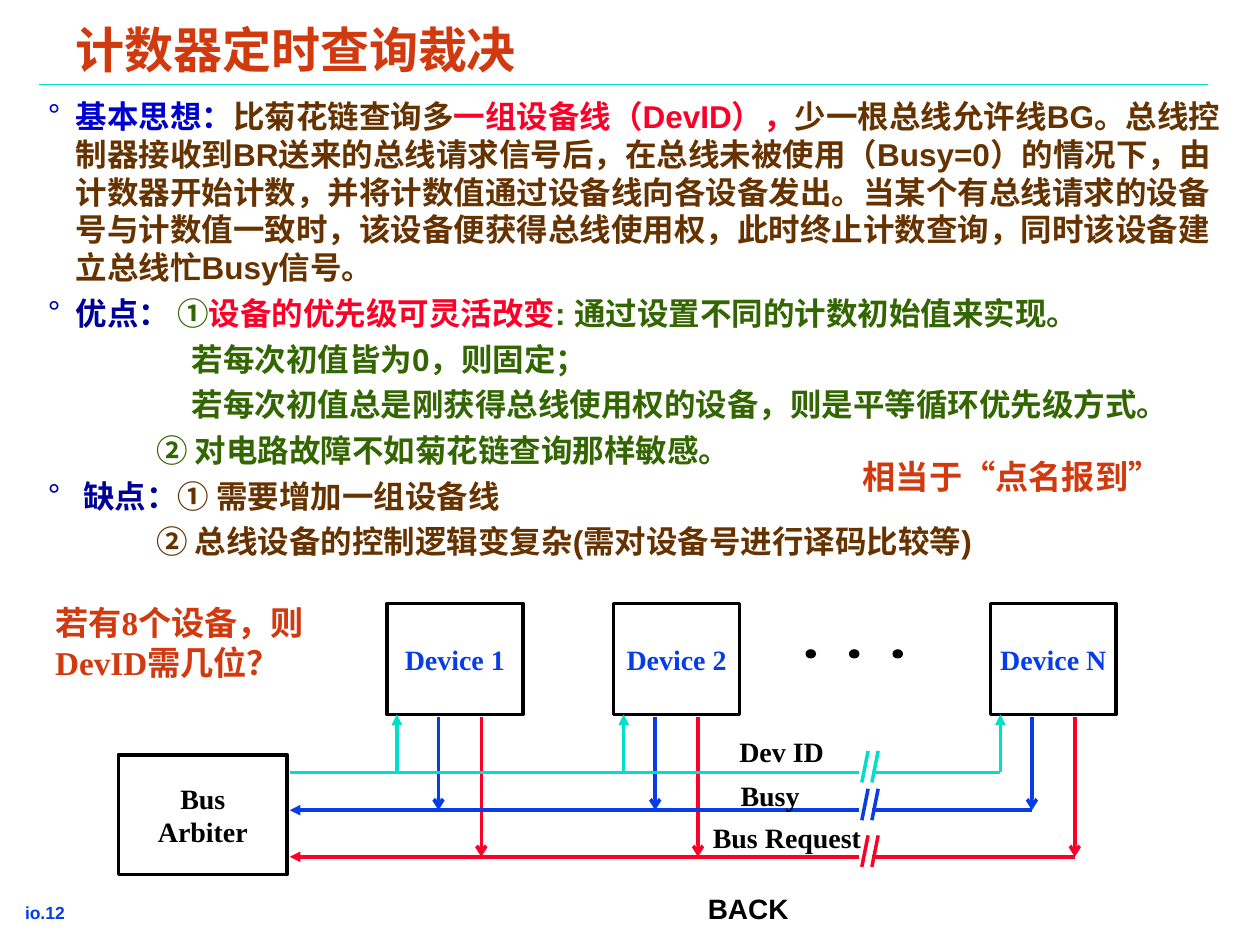
from lxml import etree
from pptx import Presentation
from pptx.dml.color import RGBColor
from pptx.enum.shapes import MSO_CONNECTOR, MSO_SHAPE
from pptx.enum.text import MSO_ANCHOR, MSO_AUTO_SIZE, PP_ALIGN
from pptx.oxml.ns import qn
from pptx.util import Inches, Pt

SANS, SERIF, CJK = "Arial", "Times New Roman", "Noto Sans CJK SC"
BLACK, BLUE, CYAN, RED = "000000", "063DE8", "00DFCA", "FC0128"
ORANGE, BROWN, GREEN = "D1390F", "663300", "336600"
BRIGHT_NAVY, NAVY = "0000CC", "000099"


def rgb(hex_code):
    return RGBColor.from_string(hex_code)


def style_run(run, size, color, font):
    run.font.size = Pt(size)
    run.font.bold = True
    run.font.name = font
    run.font.color.rgb = rgb(color)


def set_frame(frame, inset_x, inset_y, wrap=True, anchor=MSO_ANCHOR.TOP):
    frame.auto_size = MSO_AUTO_SIZE.NONE
    frame.word_wrap = wrap
    frame.vertical_anchor = anchor
    frame.margin_left = frame.margin_right = Inches(inset_x)
    frame.margin_top = frame.margin_bottom = Inches(inset_y)


def place(shape, left, top, width, height):
    shape.left, shape.top = Inches(left), Inches(top)
    shape.width, shape.height = Inches(width), Inches(height)


def add_label(slide, box, parts, size, color, font, wrap=True):
    """Text box; parts is a list of (text, font or None) runs."""
    label = slide.shapes.add_textbox(*map(Inches, box))
    set_frame(label.text_frame, 0.1, 0.05, wrap)
    for text, own_font in parts:
        run = label.text_frame.paragraphs[0].add_run()
        run.text = text
        style_run(run, size, color, own_font or font)


def add_line(slide, start, end, color, width=2, head=None, tail=None):
    line = slide.shapes.add_connector(
        MSO_CONNECTOR.STRAIGHT, *map(Inches, (*start, *end)))
    line.line.color.rgb = rgb(color)
    line.line.width = Pt(width)
    outline = line.line._get_or_add_ln()
    for tag, arrow in (("a:headEnd", head), ("a:tailEnd", tail)):
        if arrow:
            etree.SubElement(outline, qn(tag), type=arrow)
    etree.SubElement(line._element.spPr, qn("a:effectLst"))


def add_block(slide, box, text, color):
    """Outlined rectangle with a centred caption."""
    block = slide.shapes.add_shape(MSO_SHAPE.RECTANGLE, *map(Inches, box))
    block.shadow.inherit = False
    block.fill.background()
    block.line.color.rgb = rgb(BLACK)
    block.line.width = Pt(2)
    set_frame(block.text_frame, 0.05, 0.05, anchor=MSO_ANCHOR.MIDDLE)
    block.text_frame.text = text
    for paragraph in block.text_frame.paragraphs:
        paragraph.alignment = PP_ALIGN.CENTER
        style_run(paragraph.runs[0], 16, color, SERIF)


def add_heading(slide, box):
    title = slide.shapes.title
    place(title, *box)
    set_frame(title.text_frame, 0.07, 0.03)
    title.text_frame.text = "计数器定时查询裁决"
    paragraph = title.text_frame.paragraphs[0]
    paragraph.alignment = PP_ALIGN.LEFT
    paragraph.line_spacing = 0.87
    style_run(paragraph.runs[0], 28, ORANGE, SANS)
    # Rule under the title
    add_line(slide, (0.31, 0.67), (9.59, 0.67), CYAN, 1)


def set_bullet(paragraph, margin, color):
    properties = paragraph._p.get_or_add_pPr()
    properties.set("marL", str(Inches(margin)))
    properties.set("indent", str(-Inches(margin) if color else 0))
    if not color:
        etree.SubElement(properties, qn("a:buNone"))
        return
    bullet_color = etree.SubElement(properties, qn("a:buClr"))
    etree.SubElement(bullet_color, qn("a:srgbClr"), val=color)
    etree.SubElement(properties, qn("a:buFont"), typeface=SANS)
    etree.SubElement(properties, qn("a:buChar"), char="°")


def add_points(slide, box):
    # Left margin, bullet colour, coloured runs
    points = [
        (0.22, BRIGHT_NAVY, [
            ("基本思想：", BRIGHT_NAVY), ("比菊花链查询多", BROWN),
            ("一组设备线（DevID），", RED),
            ("少一根总线允许线BG。总线控制器接收到BR送来的总线请求信号后，"
             "在总线未被使用（Busy=0）的情况下，由计数器开始计数，"
             "并将计数值通过设备线向各设备发出。当某个有总线请求的设备号与"
             "计数值一致时，该设备便获得总线使用权，此时终止计数查询，"
             "同时该设备建立总线忙Busy信号。", BROWN)]),
        (0.22, NAVY, [
            ("优点： ", NAVY), ("①", GREEN), ("设备的优先级可灵活改变", RED),
            (": 通过设置不同的计数初始值来实现。", GREEN)]),
        (1.14, None, [("若每次初值皆为0，则固定；", GREEN)]),
        (1.14, None, [("若每次初值总是刚获得总线使用权的设备，"
                       "则是平等循环优先级方式。", GREEN)]),
        (0.86, None, [("② 对电路故障不如菊花链查询那样敏感。", GREEN)]),
        (0.28, NAVY, [("缺点：", NAVY), ("① 需要增加一组设备线", BROWN)]),
        (0.86, None, [("② 总线设备的控制逻辑变复杂"
                       "(需对设备号进行译码比较等)", BROWN)]),
    ]
    body = slide.placeholders[1]
    place(body, *box)
    frame = body.text_frame
    set_frame(frame, 0.07, 0.03)
    for index, (margin, bullet_color, runs) in enumerate(points):
        paragraph = frame.add_paragraph() if index else frame.paragraphs[0]
        set_bullet(paragraph, margin, bullet_color)
        paragraph.space_before = Pt(4.5 if index else 0)
        for text, color in runs:
            run = paragraph.add_run()
            run.text = text
            style_run(run, 18, color, SANS)


def add_bus(slide, left, right, y, color, arrow):
    """Horizontal bus, broken by a double slash."""
    add_line(slide, (left, y), (6.82, y), color, head=arrow)
    add_line(slide, (6.92, y), (right, y), color)
    for slash in (6.84, 6.92):
        add_line(slide, (slash, y + 0.08), (slash + 0.05, y - 0.17), color)


def add_bus_diagram(slide, box):
    left, top, width, height = box
    right, bottom = left + width, top + height
    dev_id_y, busy_y, request_y = bottom - 0.81, bottom - 0.51, bottom - 0.14
    device_height = 0.88
    device_bottom = top + device_height

    add_block(slide, (left, bottom - 0.95, 1.34, 0.95), "Bus\nArbiter", BLACK)

    # Devices with their taps on the three buses
    devices = [("Device 1", 3.07, 1.08), ("Device 2", 4.87, 1),
               ("Device N", right - 1, 1)]
    for name, x, device_width in devices:
        add_block(slide, (x, top, device_width, device_height), name, BLUE)
        edge = x + device_width
        add_line(slide, (x + 0.08, dev_id_y), (x + 0.08, device_bottom),
                 CYAN, tail="triangle")
        for tap, bus_y, color in ((edge - 0.67, busy_y, BLUE),
                                  (edge - 0.33, request_y, RED)):
            add_line(slide, (tap, device_bottom + 0.02), (tap, bus_y),
                     color, tail="arrow")

    # Dots for the devices between
    for index in range(3):
        dot = slide.shapes.add_shape(
            MSO_SHAPE.OVAL, Inches(6.4 + 0.345 * index), Inches(top + 0.37),
            Inches(0.07), Inches(0.06))
        dot.shadow.inherit = False
        dot.fill.solid()
        dot.fill.fore_color.rgb = rgb(BLACK)
        dot.line.color.rgb = rgb(BLACK)
        dot.line.width = Pt(1)

    # Buses, each ending at the tap of the last device
    add_bus(slide, 2.3, right - 0.92, dev_id_y, CYAN, None)
    add_bus(slide, 2.3, right - 0.67, busy_y, BLUE, "triangle")
    add_bus(slide, 2.3, right - 0.33, request_y, RED, "triangle")
    for name, x, y, label_width in (("Dev ID", 5.77, 5.78, 0.87),
                                    ("Busy", 5.78, 6.13, 0.67),
                                    ("Bus Request", 5.56, 6.46, 1.37)):
        add_label(slide, (x, y, label_width, 0.36), [(name, None)],
                  16, BLACK, SERIF, wrap=False)


def add_remarks(slide):
    add_label(slide, (6.75, 3.57, 2.73, 0.42),
              [("相当于", None), ("“", CJK), ("点名报到", None), ("”", CJK)],
              19, ORANGE, SERIF)
    add_label(slide, (0.34, 4.73, 2.66, 0.74),
              [("若有8个设备，则DevID需几位？", None)], 19, ORANGE, SERIF)


def add_footer(slide):
    add_label(slide, (0.1, 7.11, 1.01, 0.26), [("io.12", None)],
              10, BLUE, SANS)
    add_label(slide, (5.52, 7.03, 1, 0.37), [("BACK", None)],
              16, BLACK, SANS)


def main():
    deck = Presentation()
    deck.slide_width, deck.slide_height = Inches(10), Inches(7.5)
    slide = deck.slides.add_slide(deck.slide_layouts[1])
    add_heading(slide, (0.53, 0.19, 9.13, 0.46))
    add_points(slide, (0.31, 0.74, 9.45, 4.03))
    add_bus_diagram(slide, (0.94, 4.79, 7.92, 2.15))
    add_remarks(slide)
    add_footer(slide)
    deck.save("out.pptx")


if __name__ == "__main__":
    main()
